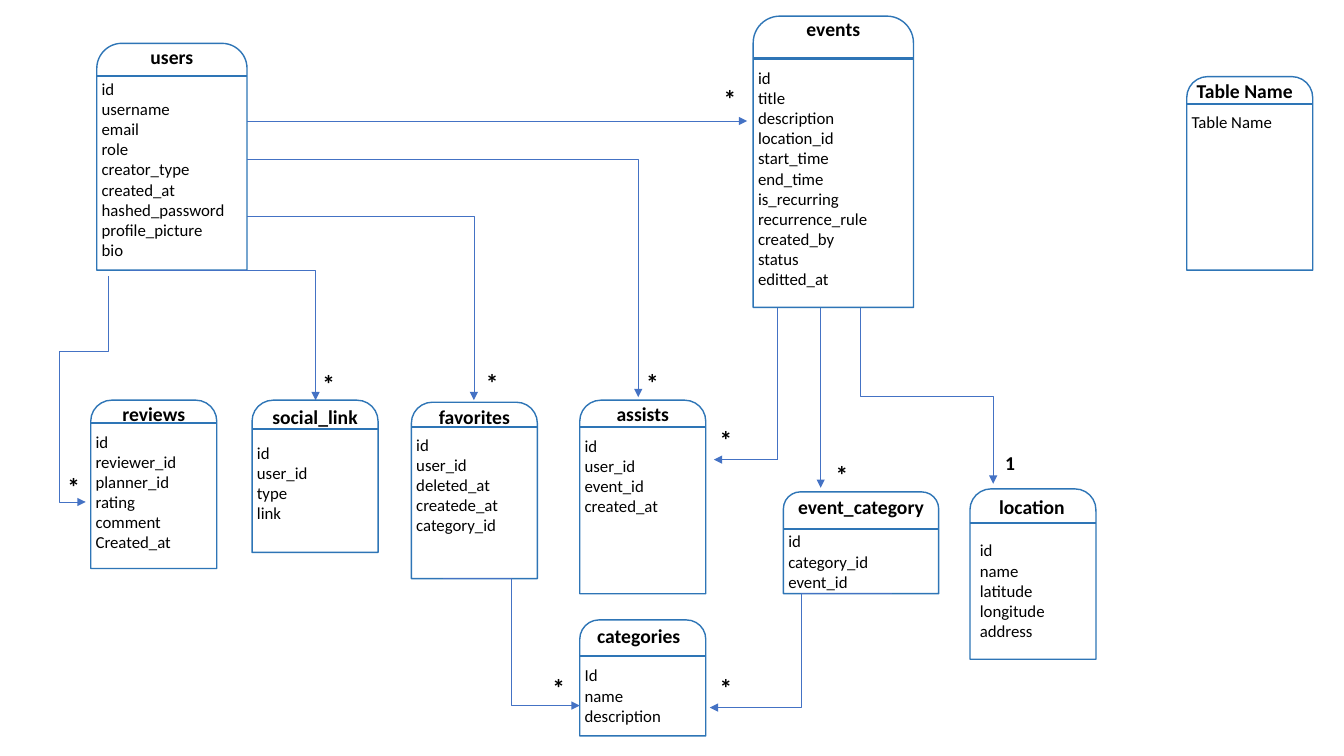
import typing

import lxml.etree
import pptx
import pptx.dml.color
import pptx.enum.shapes
import pptx.enum.text
import pptx.oxml.ns
import pptx.util

PX = 9144  # 100 px to the inch
FONT = "Calibri"
BLACK = pptx.dml.color.RGBColor(0x00, 0x00, 0x00)
WHITE = pptx.dml.color.RGBColor(0xFF, 0xFF, 0xFF)
BORDER_BLUE = pptx.dml.color.RGBColor(0x2E, 0x75, 0xB6)
ARROW_BLUE = pptx.dml.color.RGBColor(0x44, 0x72, 0xC4)
LEFT = pptx.enum.text.PP_ALIGN.LEFT
CENTER = pptx.enum.text.PP_ALIGN.CENTER
STRAIGHT = pptx.enum.shapes.MSO_CONNECTOR.STRAIGHT
ELBOW = pptx.enum.shapes.MSO_CONNECTOR.ELBOW
MARK_WIDTH, MARK_HEIGHT = 33, 40


class Entity(typing.NamedTuple):
    """A database table; the last three values are horizontal placement."""
    name: str
    left: int
    top: int
    width: int
    height: int
    name_top: int
    name_height: int
    rule_y: int
    fields_top: int
    fields_height: int
    fields: str
    name_shift: int = 0
    fields_shift: int = -5
    name_align: typing.Any = CENTER


ENTITIES = [
    Entity("users", 96, 43, 149, 225, 40, 39, 75, 73, 225,
           "id username email role creator_type created_at "
           "hashed_password profile_picture bio"),
    Entity("Table Name", 1177, 76, 125, 192, 73, 34, 103, 106, 30,
           "", name_align=LEFT),
    Entity("reviews", 90, 397, 125, 167, 394, 29, 420, 423, 150,
           "id reviewer_id planner_id rating comment Created_at"),
    Entity("social_link", 250, 397, 125, 151, 397, 30, 426, 434, 118,
           "id user_id type link"),
    Entity("favorites", 408, 399, 125, 175, 397, 31, 424, 426, 175,
           "id user_id deleted_at createde_at category_id"),
    Entity("events", 747, 16, 159, 289, 12, 51, 58, 62, 232,
           "id title description location_id start_time end_time "
           "is_recurring recurrence_rule created_by status editted_at"),
    Entity("assists", 575, 397, 125, 192, 394, 34, 424, 427, 212,
           "id user_id event_id created_at"),
    Entity("categories", 575, 615, 125, 115, 614, 20, 651, 655, 172,
           "Id name description", name_shift=-4),
    Entity("event_category", 777, 488, 154, 101, 486, 34, 525, 522, 48,
           "id category_id event_id"),
    Entity("location", 962, 485, 125, 169, 486, 30, 519, 531, 98,
           "id name latitude longitude address", name_shift=-1, fields_shift=0),
]

STRAIGHT_ARROWS = [
    ((245, 120), (741, 120)),  # users to events
    ((771, 456), (708, 456)),  # events to assists
    ((814, 306), (814, 484)),  # events to event_category
]

CORNER_ARROWS = [
    ((129, 268), (313, 397)),  # users to social_link
    ((245, 215), (470, 397)),  # users to favorites
    ((245, 158), (633, 394)),  # users to assists
]

STEP_ARROWS = [
    ((439, 574), (575, 700)),  # favorites to categories
    ((885, 589), (704, 702)),  # event_category to categories
]

MANY_MARKS = [(57, 463), (310, 361), (472, 359), (708, 78), (704, 416),
              (631, 359), (819, 451), (538, 662), (704, 662)]


def add_text(shapes, lines, left, top, width, height, size, bold=False,
             align=LEFT, wrap=True):
    box = shapes.add_textbox(left * PX, top * PX, width * PX, height * PX)
    frame = box.text_frame
    frame.word_wrap = wrap
    frame.auto_size = pptx.enum.text.MSO_AUTO_SIZE.SHAPE_TO_FIT_TEXT
    frame.text = "\n".join(lines)
    for para in frame.paragraphs:
        para.alignment = align
        for span in para.runs:
            span.font.name = FONT
            span.font.size = pptx.util.Pt(size)
            span.font.bold = bold
            span.font.color.rgb = BLACK


def add_line(shapes, begin, end, color, weight, kind=STRAIGHT, arrow=False):
    line = shapes.add_connector(kind, *(round(v * PX) for v in (*begin, *end)))
    line.line.color.rgb = color
    line.line.width = pptx.util.Pt(weight)
    if arrow:
        tail = lxml.etree.SubElement(line.line._get_or_add_ln(),
                                     pptx.oxml.ns.qn("a:tailEnd"))
        tail.set("type", "triangle")
    lxml.etree.SubElement(line._element.spPr, pptx.oxml.ns.qn("a:effectLst"))
    return line


def add_arrow(shapes, begin, end, kind=STRAIGHT):
    return add_line(shapes, begin, end, ARROW_BLUE, 0.5, kind, arrow=True)


def set_bend(connector, preset, *adjustments):
    """Choose the elbow preset and where it bends, in 1/100000 of its size."""
    geometry = connector._element.spPr.find(pptx.oxml.ns.qn("a:prstGeom"))
    geometry.set("prst", preset)
    guides = geometry.find(pptx.oxml.ns.qn("a:avLst"))
    for number, value in enumerate(adjustments, 1):
        guide = lxml.etree.SubElement(guides, pptx.oxml.ns.qn("a:gd"))
        guide.set("name", f"adj{number}")
        guide.set("fmla", f"val {value}")


def add_downward_arrow(shapes, begin, end):
    """Add an elbow that leaves downward: its frame is turned a quarter."""
    (x1, y1), (x2, y2) = begin, end
    middle_x, middle_y = (x1 + x2) / 2, (y1 + y2) / 2
    half_width, half_height = abs(y2 - y1) / 2, abs(x2 - x1) / 2
    side = 1 if x2 > x1 else -1
    arrow = add_arrow(
        shapes,
        (middle_x + side * half_width, middle_y - half_height),
        (middle_x - side * half_width, middle_y + half_height), ELBOW)
    degrees = 270 if side > 0 else 90
    frame = arrow._element.spPr.find(pptx.oxml.ns.qn("a:xfrm"))
    frame.set("rot", str(degrees * 60000))
    return arrow


def add_entity(slide, entity):
    shapes = slide.shapes.add_group_shape().shapes
    body = shapes.add_shape(
        pptx.enum.shapes.MSO_SHAPE.ROUND_2_SAME_RECTANGLE,
        entity.left * PX, entity.top * PX, entity.width * PX, entity.height * PX)
    body.shadow.inherit = False
    body.fill.solid()
    body.fill.fore_color.rgb = WHITE
    body.line.color.rgb = BORDER_BLUE
    body.line.width = pptx.util.Pt(1)
    add_text(shapes, [entity.name], entity.left + entity.name_shift,
             entity.name_top, entity.width, entity.name_height, 14, bold=True,
             align=entity.name_align)
    add_line(shapes, (entity.left, entity.rule_y),
             (entity.left + entity.width, entity.rule_y), BORDER_BLUE, 1.5)
    add_text(shapes, entity.fields.split() or [entity.name],
             entity.left + entity.fields_shift, entity.fields_top,
             entity.width + 5, entity.fields_height, 12)


def main():
    deck = pptx.Presentation()
    deck.slide_width, deck.slide_height = 1333 * PX, 750 * PX
    page = deck.slides.add_slide(deck.slide_layouts[6])
    shapes = page.shapes

    for entity in ENTITIES:
        add_entity(page, entity)

    for begin, end in STRAIGHT_ARROWS:
        add_arrow(shapes, begin, end)
    add_line(shapes, (771, 456), (771, 306), ARROW_BLUE, 0.5)
    for begin, end in CORNER_ARROWS:
        set_bend(add_arrow(shapes, begin, end, ELBOW), "bentConnector2")
    for begin, end in STEP_ARROWS:
        add_arrow(shapes, begin, end, ELBOW)
    add_downward_arrow(shapes, (853, 306), (985, 480))  # events to location
    users_to_reviews = add_downward_arrow(shapes, (107, 274), (85, 498))
    set_bend(users_to_reviews, "bentConnector4", 33200, 216900)

    for left, top in MANY_MARKS:
        add_text(shapes, ["*"], left, top, MARK_WIDTH, MARK_HEIGHT, 18,
                 bold=True, wrap=False)
    add_text(shapes, ["1"], 987, 442, 30, 34, 14, bold=True, wrap=False)

    deck.save("out.pptx")


if __name__ == "__main__":
    main()
